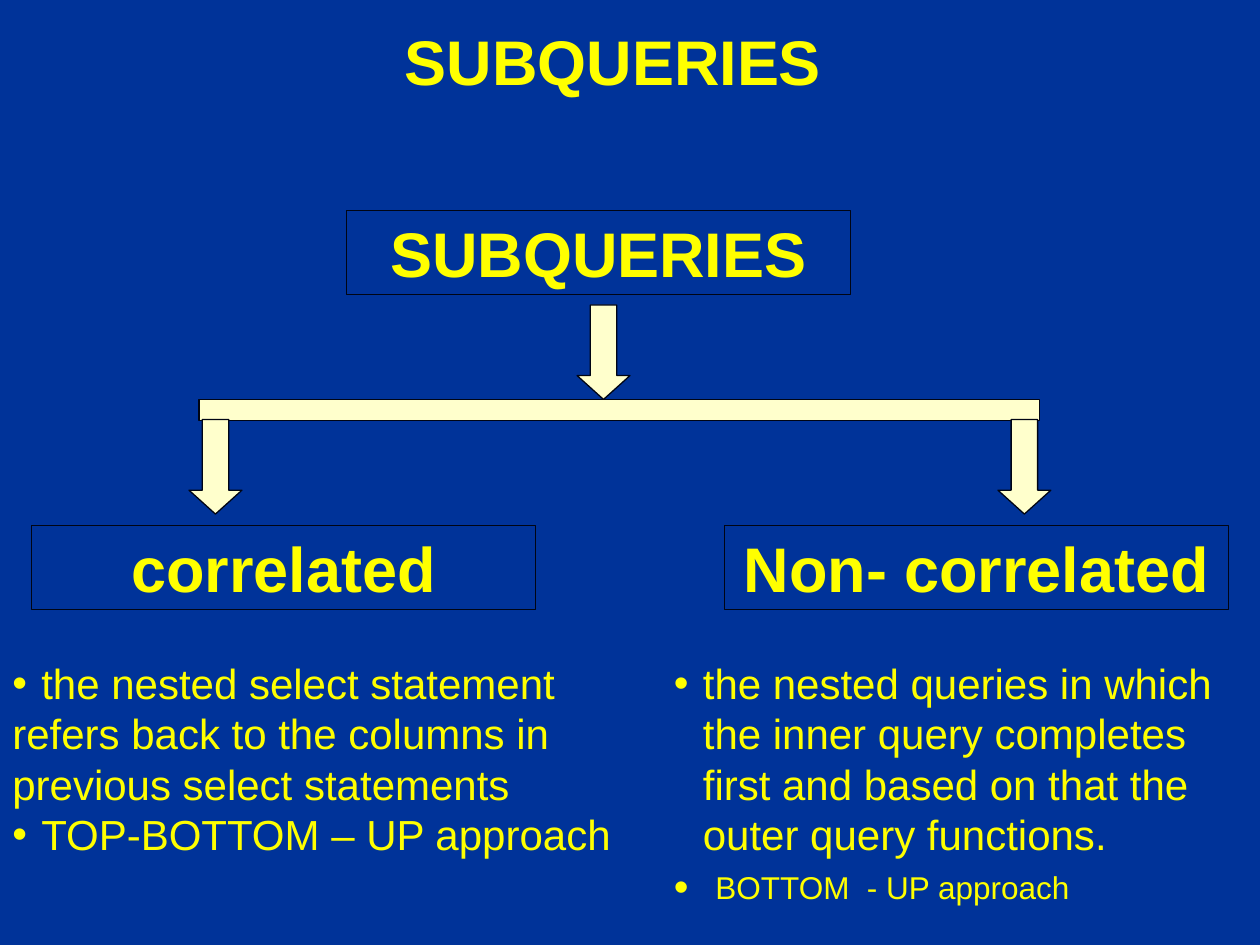
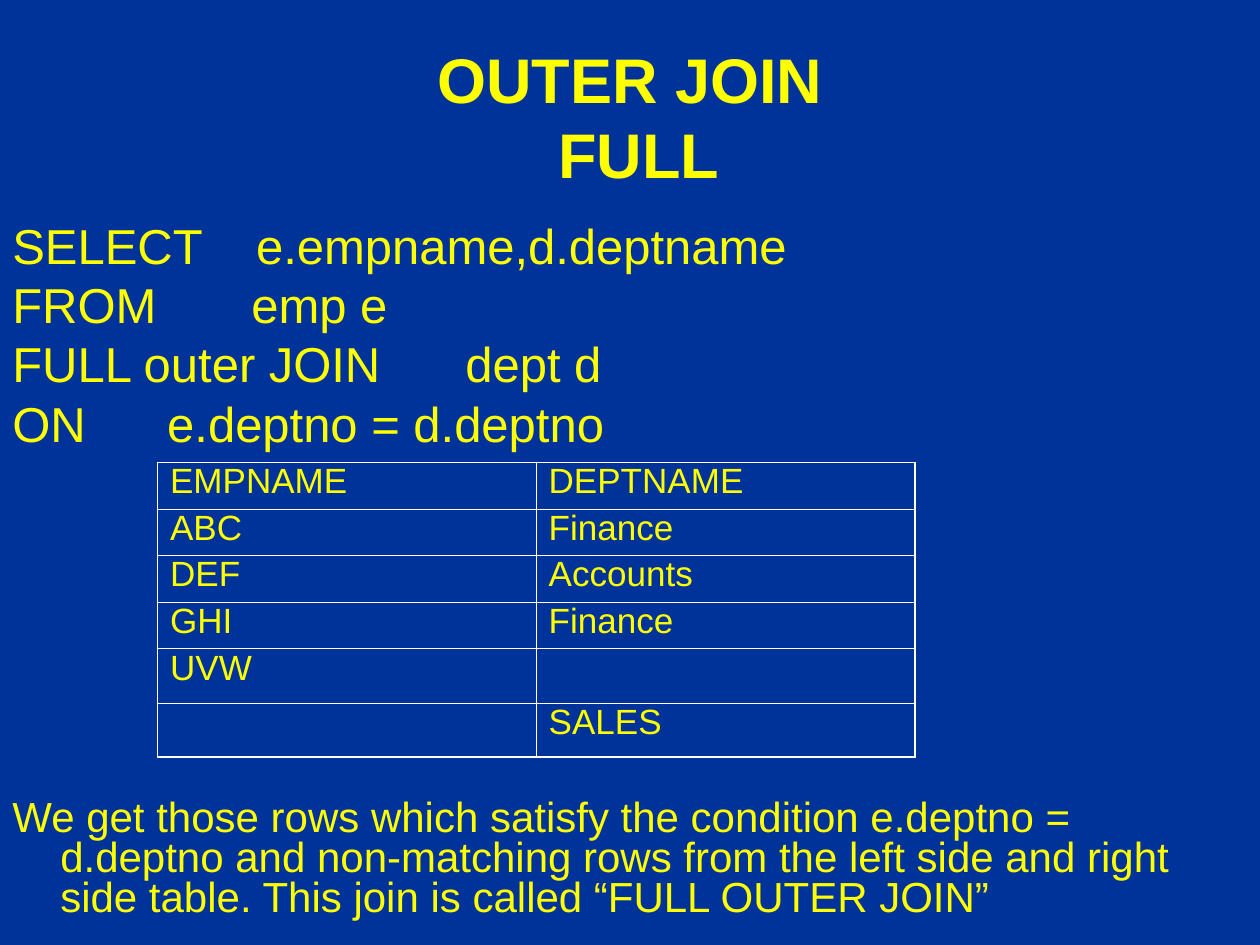
from dataclasses import dataclass

from lxml.etree import SubElement
from pptx import Presentation
from pptx.dml.color import RGBColor
from pptx.enum.shapes import MSO_SHAPE as Preset
from pptx.enum.text import MSO_ANCHOR as Anchor, PP_ALIGN as Align
from pptx.oxml.ns import qn
from pptx.util import Inches, Pt

NAVY, YELLOW, CREAM, INK, WHITE = "003399", "FFFF00", "FFFFCC", "000514", "FFFFFF"
FONT = "Arial"
HANGING = 0.38
TIGHT = 0.8


@dataclass(frozen=True)
class Area:
    left: float
    top: float
    width: float
    height: float

    def lengths(self) -> tuple:
        return tuple(Inches(n) for n in (self.left, self.top, self.width, self.height))


@dataclass(frozen=True)
class Line:
    text: str
    size: float = 24
    bold: bool = False
    centred: bool = False
    margin: float = 0
    indent: float = 0
    spacing: float = 1
    before: float = 0
    bullet_percent: int = 0
    tab: float = 0


def colour(value: str) -> RGBColor:
    return RGBColor.from_string(value)


def heading(text: str, margin: float = 0) -> Line:
    return Line(text, 36, bold=True, centred=True, margin=margin)


def bullet(text: str, size: float = 24, margin: float = 0.23,
           before: float = 0, percent: int = 100) -> Line:
    return Line(text, size, margin=margin, indent=-margin, before=before,
                bullet_percent=percent)


def hanging(text: str, size: float, before: float = 0, tab: float = 0) -> Line:
    return Line(text, size, margin=HANGING, indent=-HANGING, spacing=TIGHT,
                before=before, tab=tab)


def write(frame, lines: list[Line]) -> None:
    for number, line in enumerate(lines):
        para = frame.add_paragraph() if number else frame.paragraphs[0]
        props = para._p.get_or_add_pPr()
        props.set("marL", str(Inches(line.margin)))
        props.set("indent", str(Inches(line.indent)))
        if line.bullet_percent:
            tint = SubElement(props, qn("a:buClr"))
            SubElement(tint, qn("a:srgbClr"), val=YELLOW)
            SubElement(props, qn("a:buSzPct"), val=str(line.bullet_percent * 1000))
            SubElement(props, qn("a:buFont"), typeface=FONT)
            SubElement(props, qn("a:buChar"), char="•")
        else:
            SubElement(props, qn("a:buNone"))
        if line.tab:
            stops = SubElement(props, qn("a:tabLst"))
            SubElement(stops, qn("a:tab"), pos=str(Inches(line.tab)), algn="l")
        para.alignment = Align.CENTER if line.centred else Align.LEFT
        if line.spacing != 1:
            para.line_spacing = line.spacing
        if line.before and number:
            para.space_before = Pt(line.before)
        span = para.add_run()
        span.text = line.text
        span.font.name = FONT
        span.font.size = Pt(line.size)
        span.font.bold = line.bold
        span.font.color.rgb = colour(YELLOW)


def add_page(deck):
    page = deck.slides.add_slide(deck.slide_layouts[6])
    page.background.fill.solid()
    page.background.fill.fore_color.rgb = colour(NAVY)
    return page


def add_text(page, area: Area, lines: list[Line], anchor=Anchor.TOP) -> None:
    frame = page.shapes.add_textbox(*area.lengths()).text_frame
    frame.word_wrap = True
    frame.vertical_anchor = anchor
    write(frame, lines)


def add_block(page, area: Area, preset=Preset.RECTANGLE, fill: str = CREAM):
    block = page.shapes.add_shape(preset, *area.lengths())
    block.shadow.inherit = False
    block.fill.solid()
    block.fill.fore_color.rgb = colour(fill)
    block.line.color.rgb = colour(INK)
    block.line.width = Pt(0.75)
    return block


def add_label(page, left: float, top: float, text: str) -> None:
    frame = add_block(page, Area(left, top, 4, 0.67), fill=NAVY).text_frame
    frame.word_wrap = True
    frame.vertical_anchor = Anchor.MIDDLE
    write(frame, [heading(text)])


def add_arrow(page, left: float, top: float) -> None:
    arrow = add_block(page, Area(left, top, 0.42, 0.75), Preset.DOWN_ARROW)
    arrow.adjustments[0] = 0.5
    arrow.adjustments[1] = 0.45


def set_borders(cell, outer: dict[str, bool]) -> None:
    props = cell._tc.get_or_add_tcPr()
    for side, is_outer in outer.items():
        width = Pt(1.08 if is_outer else 0.45)
        edge = SubElement(props, qn(f"a:{side}"), w=str(width))
        SubElement(SubElement(edge, qn("a:solidFill")), qn("a:srgbClr"), val=WHITE)


def add_result_table(page, rows: list[tuple[str, str]], heights: list[float]) -> None:
    area = Area(1.25, 3.67, 6.01, sum(heights))
    table = page.shapes.add_table(len(rows), 2, *area.lengths()).table
    table.first_row = False
    table.horz_banding = False
    for row_number, (values, height) in enumerate(zip(rows, heights)):
        table.rows[row_number].height = Inches(height)
        for column, value in enumerate(values):
            cell = table.cell(row_number, column)
            set_borders(cell, {
                "lnL": column == 0,
                "lnR": column == 1,
                "lnT": row_number == 0,
                "lnB": row_number == len(rows) - 1,
            })
            cell.fill.background()
            if value:
                write(cell.text_frame, [hanging(value, 20)])


def build_subqueries(deck) -> None:
    page = add_page(deck)
    add_text(page, Area(0.14, 0.3, 9.45, 0.35), [heading("SUBQUERIES")], Anchor.MIDDLE)
    add_label(page, 2.75, 1.67, "SUBQUERIES")
    add_arrow(page, 4.58, 2.42)
    add_block(page, Area(1.58, 3.17, 6.67, 0.17))
    for left in (1.5, 7.92):
        add_arrow(page, left, 3.33)
    add_label(page, 5.75, 4.17, "Non- correlated")
    add_label(page, 0.25, 4.17, "correlated")
    add_text(page, Area(0, 5.17, 5, 1.7), [
        bullet("the nested select statement"),
        Line("refers back to the columns in previous select statements"),
        bullet("TOP-BOTTOM – UP approach"),
    ])
    add_text(page, Area(5.25, 5.17, 4.75, 2.1), [
        bullet("the nested queries in which the inner query completes first "
               "and based on that the outer query functions."),
        bullet("BOTTOM  - UP approach", 18, margin=0.33, before=5, percent=133),
    ])


def build_outer_join(deck) -> None:
    page = add_page(deck)
    query = [
        "SELECT    e.empname,d.deptname",
        "FROM       emp e",
        "FULL outer JOIN \t  dept d",
        "ON      e.deptno = d.deptno",
    ]
    add_text(page, Area(0, 1.75, 10, 2),
             [hanging(text, 28, before=7, tab=3.01) for text in query])
    add_text(page, Area(0, 0.42, 10, 1),
             [heading("OUTER JOIN"), heading("FULL", margin=0.14)], Anchor.MIDDLE)
    add_result_table(page, [
        ("EMPNAME", "DEPTNAME"),
        ("ABC", "Finance"),
        ("DEF", "Accounts"),
        ("GHI", "Finance"),
        ("UVW", ""),
        ("", "SALES"),
    ], [0.37] * 4 + [0.43] * 2)
    add_text(page, Area(0, 6.3, 9.75, 1.2), [hanging(
        "We get those rows which satisfy the condition e.deptno = d.deptno and "
        "non-matching rows from the left side and right side table. "
        "This join is called “FULL OUTER JOIN”", 24)])


def main() -> None:
    deck = Presentation()
    deck.slide_width = Inches(10)
    deck.slide_height = Inches(7.5)
    build_subqueries(deck)
    build_outer_join(deck)
    deck.save("out.pptx")


if __name__ == "__main__":
    main()
